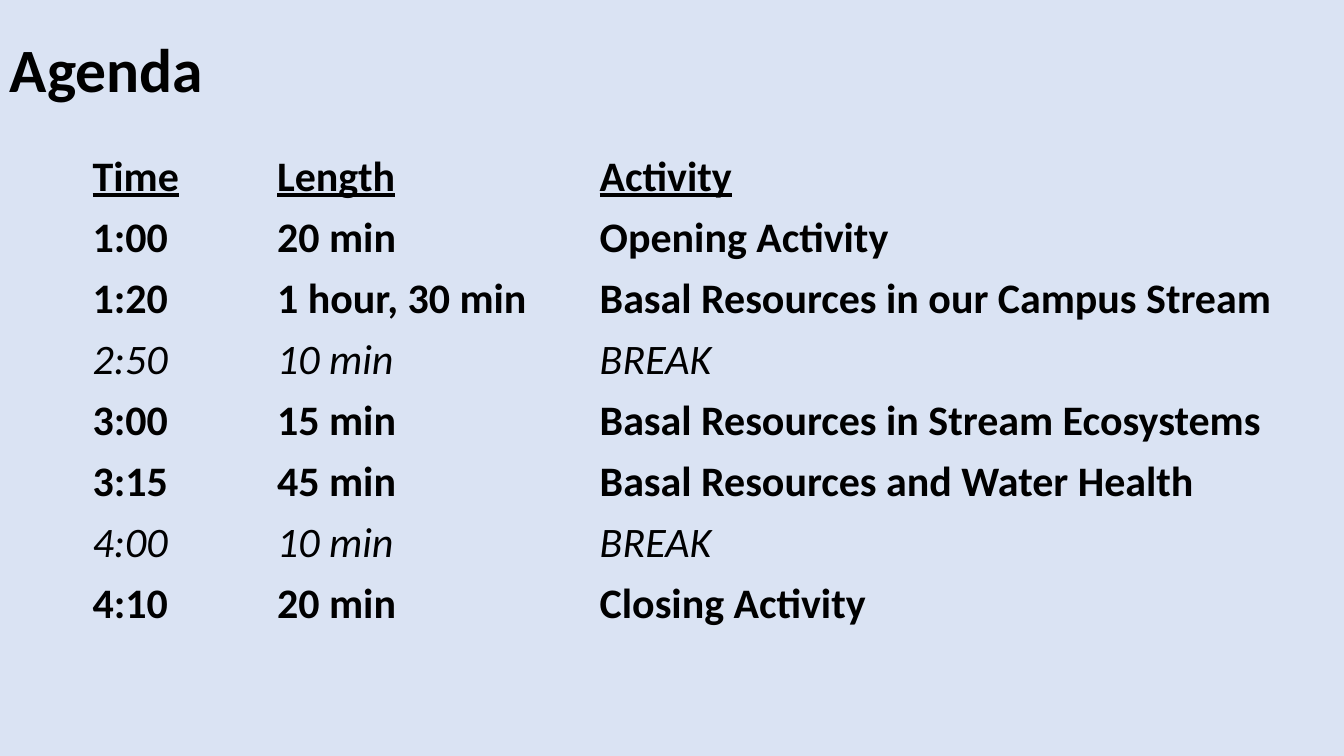
from pptx import Presentation
from pptx.dml.color import RGBColor
from pptx.enum.text import MSO_ANCHOR
from pptx.oxml.ns import qn
from pptx.util import Cm, Pt

# Content
TITLE = "Agenda"
HEADER = ("Time", "Length", "Activity")
SESSIONS = [
    ("1:00", "20 min", "Opening Activity"),
    ("1:20", "1 hour, 30 min", "Basal Resources in our Campus Stream"),
    ("2:50", "10 min", "BREAK"),
    ("3:00", "15 min", "Basal Resources in Stream Ecosystems"),
    ("3:15", "45 min", "Basal Resources and Water Health"),
    ("4:00", "10 min", "BREAK"),
    ("4:10", "20 min", "Closing Activity"),
]
COLORS = {"background": "DAE3F3", "text": "000000"}
FONT = "Calibri"
COLUMN_WIDTHS = (4.65, 8.13, 18.01)
ROW_HEIGHT = 1.54
NO_GRID_STYLE = "{2D5ABB26-0587-4C30-8999-92F81FD0307C}"


def style_text(paragraph, size, bold=True):
    font = paragraph.font
    font.name = FONT
    font.size = Pt(size)
    font.bold = bold
    font.color.rgb = RGBColor.from_string(COLORS["text"])


def add_title(slide):
    title = slide.shapes.add_textbox(Cm(0), Cm(0), Cm(29.21), Cm(3.68))
    frame = title.text_frame
    frame.word_wrap = True
    frame.vertical_anchor = MSO_ANCHOR.MIDDLE
    paragraph = frame.paragraphs[0]
    paragraph.text = TITLE
    paragraph.line_spacing = 0.9
    style_text(paragraph, 44)


def add_agenda(slide):
    rows = [HEADER, *SESSIONS]
    frame = slide.shapes.add_table(
        len(rows), len(HEADER), Cm(2.08), Cm(3.68),
        Cm(sum(COLUMN_WIDTHS)), Cm(ROW_HEIGHT * len(rows)))
    table = frame.table
    table.first_row = table.horz_banding = False
    # A style without borders
    table._tbl.tblPr.find(qn("a:tableStyleId")).text = NO_GRID_STYLE
    for column, width in zip(table.columns, COLUMN_WIDTHS):
        column.width = Cm(width)
    for row_index, texts in enumerate(rows):
        table.rows[row_index].height = Cm(ROW_HEIGHT)
        is_break = texts[-1] == "BREAK"
        for column_index, text in enumerate(texts):
            cell = table.cell(row_index, column_index)
            cell.fill.background()
            paragraph = cell.text_frame.paragraphs[0]
            paragraph.text = text
            style_text(paragraph, 30, bold=not is_break)
            paragraph.font.italic = is_break
            paragraph.font.underline = texts is HEADER


def main():
    presentation = Presentation()
    presentation.slide_width = Cm(33.87)
    presentation.slide_height = Cm(19.05)
    slide = presentation.slides.add_slide(presentation.slide_layouts[6])
    background = slide.background.fill
    background.solid()
    background.fore_color.rgb = RGBColor.from_string(COLORS["background"])
    add_title(slide)
    add_agenda(slide)
    presentation.save("out.pptx")


if __name__ == "__main__":
    main()
